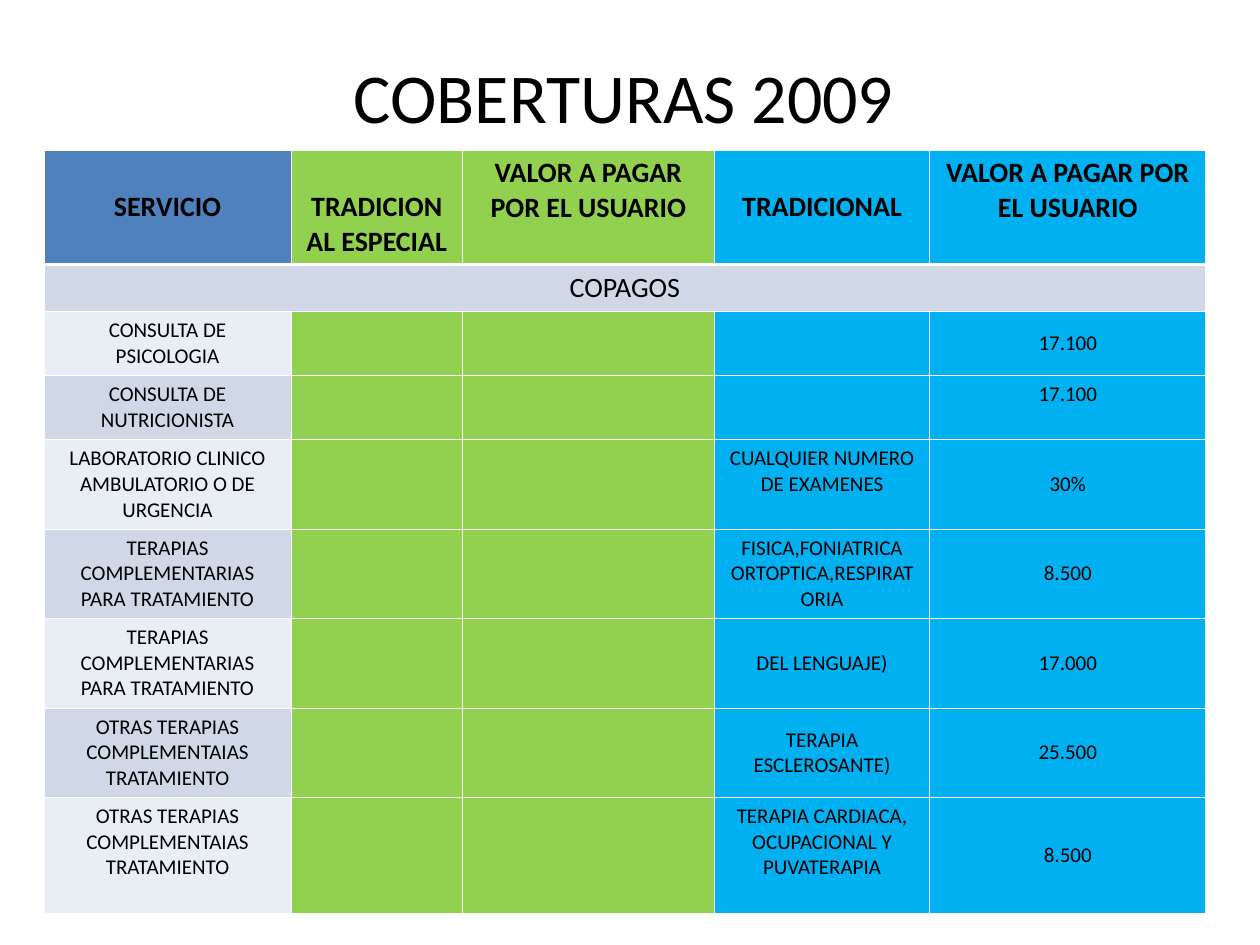
"""Build the COBERTURAS 2009 slide with its table of co-payments."""
from dataclasses import dataclass

from lxml.etree import SubElement
from pptx import Presentation
from pptx.dml.color import RGBColor
from pptx.enum.text import MSO_ANCHOR, PP_ALIGN
from pptx.oxml.ns import qn
from pptx.util import Inches, Pt


@dataclass(frozen=True)
class Theme:
    font: str = "Calibri"
    text: str = "000000"
    line: str = "FFFFFF"
    blue: str = "4F81BD"
    green: str = "92D050"
    cyan: str = "00B0F0"
    bands: tuple = ("D0D8E8", "E9EDF4")
    title_size: int = 40
    header_size: int = 16
    body_size: int = 12
    thin: float = 0.45
    thick: float = 1.47


theme = Theme()


def write(frame, text, size, bold=False):
    para = frame.paragraphs[0]
    para.alignment = PP_ALIGN.CENTER
    span = para.add_run()
    span.text = text
    span.font.name = theme.font
    span.font.size = Pt(size)
    span.font.bold = bold
    span.font.color.rgb = RGBColor.from_string(theme.text)


def style_cell(cell, fill, top, bottom):
    properties = cell._tc.get_or_add_tcPr()
    widths = {"a:lnL": theme.thin, "a:lnR": theme.thin, "a:lnT": top, "a:lnB": bottom}
    for tag, width in widths.items():
        border = SubElement(properties, qn(tag), w=str(int(Pt(width))))
        SubElement(SubElement(border, qn("a:solidFill")), qn("a:srgbClr"), val=theme.line)
    cell.fill.solid()
    cell.fill.fore_color.rgb = RGBColor.from_string(fill)


headers = [
    "SERVICIO",
    "TRADICIONAL ESPECIAL",
    "VALOR A PAGAR POR EL USUARIO",
    "TRADICIONAL",
    "VALOR A PAGAR POR EL USUARIO",
]
therapies = "TERAPIAS COMPLEMENTARIAS PARA TRATAMIENTO"
other_therapies = "OTRAS TERAPIAS COMPLEMENTAIAS TRATAMIENTO"
services = [
    ("CONSULTA DE PSICOLOGIA", "", "17.100"),
    ("CONSULTA DE NUTRICIONISTA", "", "17.100"),
    ("LABORATORIO CLINICO AMBULATORIO O DE URGENCIA", "CUALQUIER NUMERO DE EXAMENES", "30%"),
    (therapies, "FISICA,FONIATRICA ORTOPTICA,RESPIRATORIA", "8.500"),
    (therapies, "DEL LENGUAJE)", "17.000"),
    (other_therapies, "TERAPIA ESCLEROSANTE)", "25.500"),
    (other_therapies, "TERAPIA CARDIACA, OCUPACIONAL Y PUVATERAPIA", "8.500"),
]
rows = [headers, ["COPAGOS", "", "", "", ""]]
rows += [[service, "", "", coverage, price] for service, coverage, price in services]
column_widths = [1.96, 1.36, 2, 1.71, 2.19]
row_heights = [0.91, 0.37, 0.51, 0.51, 0.71, 0.71, 0.71, 0.71, 0.92]
column_fills = [theme.blue, theme.green, theme.green, theme.cyan, theme.cyan]
lowered_headers = {(0, 0), (0, 1), (0, 3)}
middle_cells = {(2, 4), (4, 4), (5, 4), (6, 3), (6, 4), (7, 3), (7, 4), (8, 4)}

deck = Presentation()
deck.slide_width, deck.slide_height = Inches(10), Inches(7.5)
page = deck.slides.add_slide(deck.slide_layouts[6])

title_box = page.shapes.add_textbox(Inches(0.7), Inches(0.44), Inches(8.5), Inches(0.63))
title_box.text_frame.word_wrap = True
title_box.text_frame.vertical_anchor = MSO_ANCHOR.MIDDLE
write(title_box.text_frame, "COBERTURAS 2009", theme.title_size)

table = page.shapes.add_table(
    len(rows), len(headers), Inches(0.35), Inches(1.19),
    Inches(sum(column_widths)), Inches(sum(row_heights)),
).table
for column, width in zip(table.columns, column_widths):
    column.width = Inches(width)
for row, height in zip(table.rows, row_heights):
    row.height = Inches(height)
table.cell(1, 0).merge(table.cell(1, 4))

for r, texts in enumerate(rows):
    for c, text in enumerate(texts):
        cell = table.cell(r, c)
        banded = r == 1 or (r > 1 and c == 0)
        style_cell(
            cell,
            theme.bands[(r + 1) % 2] if banded else column_fills[c],
            theme.thick if r == 1 else theme.thin,
            theme.thick if r == 0 else theme.thin,
        )
        cell.margin_top = Inches(0.32 if (r, c) in lowered_headers else 0.05)
        cell.vertical_anchor = MSO_ANCHOR.MIDDLE if (r, c) in middle_cells else MSO_ANCHOR.TOP
        if text:
            size = theme.header_size if r < 2 else theme.body_size
            write(cell.text_frame, text, size, bold=r == 0)

deck.save("out.pptx")
